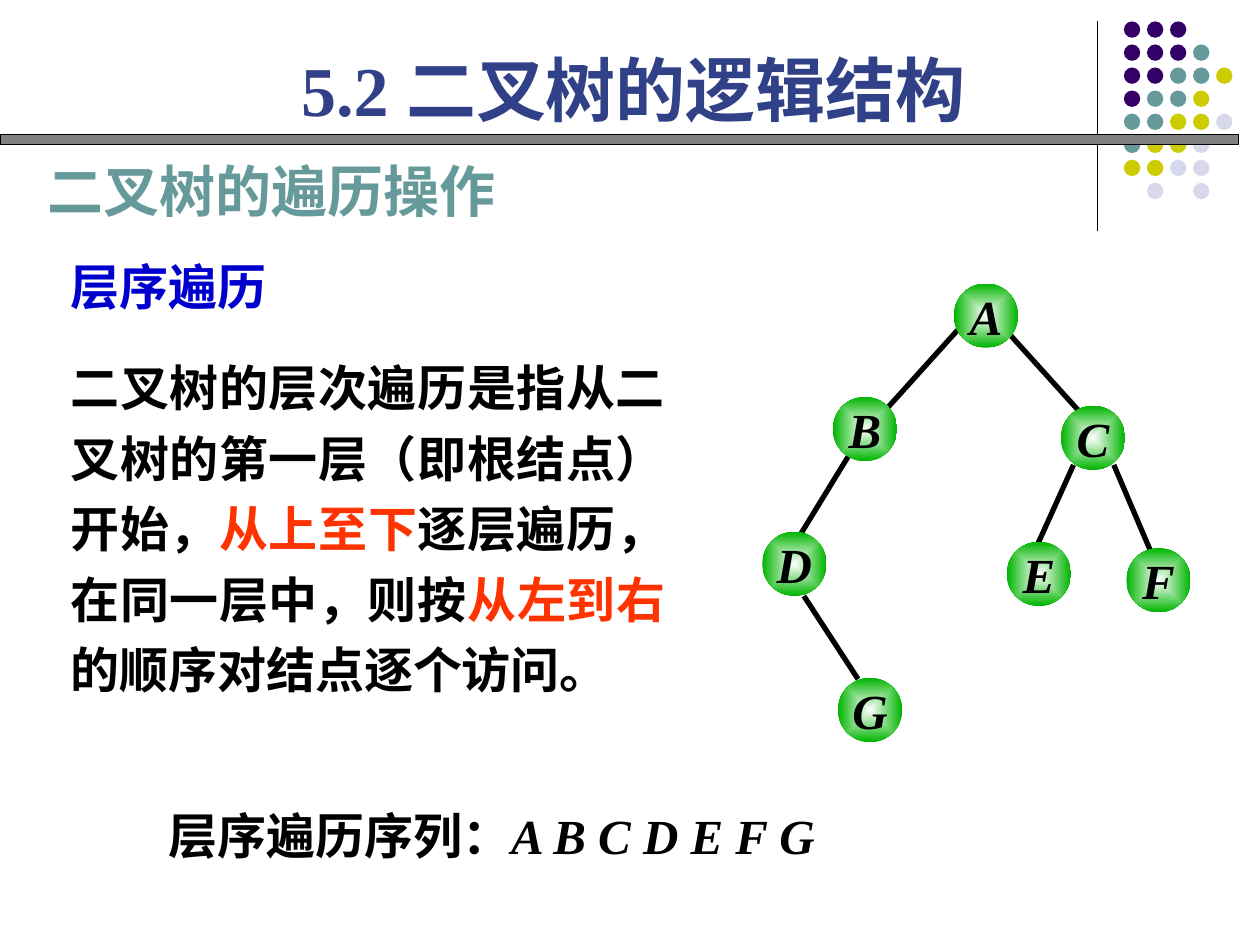
from lxml import etree
from pptx import Presentation
from pptx.dml.color import RGBColor
from pptx.enum.shapes import MSO_CONNECTOR, MSO_SHAPE
from pptx.enum.text import MSO_ANCHOR, PP_ALIGN
from pptx.oxml import parse_xml
from pptx.oxml.ns import nsdecls, qn
from pptx.util import Inches, Pt

LINE, OVAL, RECT = MSO_CONNECTOR.STRAIGHT, MSO_SHAPE.OVAL, MSO_SHAPE.RECTANGLE
TOP, MIDDLE = MSO_ANCHOR.TOP, MSO_ANCHOR.MIDDLE
LEFT, CENTER, JUSTIFY = PP_ALIGN.LEFT, PP_ALIGN.CENTER, PP_ALIGN.JUSTIFY
LATIN, ASIAN = "Times New Roman", "Noto Sans CJK SC"
COLORS = {"black": "000000", "title": "314187", "blue": "0000CC", "red": "FF3300",
          "P": "330066", "T": "669999", "Y": "CCCC00", "L": "D8D8EC",
          "bar": "808080", "white": "FFFFFF", "green": "00B400"}
DOT_ROWS = ["PPP", "PPPT", "PPTTY", "PTTY", "TTYYL", "TYYL", "YYLL", " L L"]
DOT_PITCH, DOT_SIZE = 0.183, 0.13
NODE_SIZE = 0.51
NODES = {"A": (7.57, 2.25), "B": (6.61, 3.15), "C": (8.42, 3.22), "D": (6.05, 4.22),
         "E": (7.99, 4.3), "F": (8.94, 4.35), "G": (6.65, 5.38)}
EDGES = [(7.6, 2.62, 7.05, 3.23), (8.01, 2.65, 8.57, 3.27), (6.74, 3.61, 6.36, 4.23),
         (6.38, 4.73, 6.81, 5.39), (8.52, 3.69, 8.24, 4.31), (8.84, 3.69, 9.13, 4.37)]
SHADOW = (f'<a:effectLst {nsdecls("a")}><a:outerShdw dist="17961" dir="2700000">'
          '<a:srgbClr val="808080"/></a:outerShdw></a:effectLst>')


def rgb(name):
    """Return the named colour."""
    return RGBColor.from_string(COLORS[name])


def add_run(p, text, size, color="black", italic=False, font=LATIN):
    """Append a bold run with Latin and East Asian fonts."""
    r = p.add_run()
    r.text = text
    r.font.color.rgb = rgb(color)
    values = {"size": Pt(size), "bold": True, "italic": italic, "name": font}
    for key, value in values.items():
        setattr(r.font, key, value)
    etree.SubElement(r.font._element, qn("a:ea"), typeface=ASIAN)
    return r


def fill_text(box, at, paragraphs, size, align=JUSTIFY, spacing=1.0, font=LATIN):
    """Place a text holder and write its paragraphs as lists of runs."""
    box.left, box.top, box.width, box.height = map(Inches, at)
    tf = box.text_frame
    tf.word_wrap, tf.vertical_anchor = True, TOP
    for i, runs in enumerate(paragraphs):
        p = tf.add_paragraph() if i else tf.paragraphs[0]
        pPr = p._p.get_or_add_pPr()
        pPr.set("marL", "0")
        pPr.set("indent", "0")
        etree.SubElement(pPr, qn("a:buNone"))
        p.alignment, p.line_spacing = align, spacing
        p.space_before = Pt(17.5 if i else 0)
        for run in runs:
            add_run(p, run[0], size, *run[1:], font=font)
    return tf


def add_text(s, at, *args, **kwargs):
    """Add a text box and fill it."""
    return fill_text(s.shapes.add_textbox(0, 0, 0, 0), at, *args, **kwargs)


def add_shape(s, kind, x, y, w, h, fill=None):
    """Add a flat preset shape without outline."""
    sp = s.shapes.add_shape(kind, *map(Inches, (x, y, w, h)))
    sp.shadow.inherit = False
    sp.line.fill.background()
    if fill:
        sp.fill.solid()
        sp.fill.fore_color.rgb = rgb(fill)
    return sp


def add_line(s, ends, width):
    """Add a straight black line."""
    c = s.shapes.add_connector(LINE, *map(Inches, ends))
    c.line.color.rgb, c.line.width = rgb("black"), Pt(width)
    etree.SubElement(c._element.spPr, qn("a:effectLst"))


def add_node(s, letter, x, y):
    """Add a tree node with a glow from white centre to green rim."""
    sp = add_shape(s, OVAL, x, y, NODE_SIZE, NODE_SIZE)
    stops = "".join(f'<a:gs pos="{pos}"><a:srgbClr val="{COLORS[name]}"/></a:gs>'
                    for pos, name in ((0, "white"), (100000, "green")))
    sp._element.spPr.find(qn("a:prstGeom")).addnext(parse_xml(
        f'<a:gradFill {nsdecls("a")}><a:gsLst>{stops}</a:gsLst><a:path path="rect">'
        '<a:fillToRect l="50000" t="50000" r="50000" b="50000"/></a:path></a:gradFill>'))
    tf = sp.text_frame
    tf.word_wrap, tf.vertical_anchor = False, MIDDLE
    for side in ("left", "top", "right", "bottom"):
        setattr(tf, f"margin_{side}", 0)
    p = tf.paragraphs[0]
    p.alignment = CENTER
    add_run(p, letter, 28, italic=True)


def add_decoration(s):
    """Draw the corner rule, the dot grid and the bar below the title."""
    add_line(s, (8.71, 0.17, 8.71, 1.83), 0.75)
    for row, dots in enumerate(DOT_ROWS):
        for col, dot in enumerate(dots):
            if dot != " ":
                add_shape(s, OVAL, 8.92 + col * DOT_PITCH, 0.17 + row * DOT_PITCH,
                          DOT_SIZE, DOT_SIZE, dot)
    bar = add_shape(s, RECT, 0, 1.07, 9.83, 0.08, "bar")
    bar.line.color.rgb, bar.line.width = rgb("black"), Pt(0.75)


def main():
    """Build the slide on level-order traversal."""
    prs = Presentation()
    prs.slide_width, prs.slide_height = Inches(10), Inches(7.5)
    s = prs.slides.add_slide(prs.slide_layouts[1])
    add_decoration(s)
    fill_text(s.shapes.title, (2.29, 0.32, 6.38, 0.77),
              [[("5.2 二叉树的逻辑结构", "title")]], 40)
    fill_text(s.placeholders[1], (0.46, 1.89, 4.92, 3.71), [
        [("层序遍历", "blue")],
        [("二叉树的层次遍历是指从二叉树的第一层（即根结点）开始，",), ("从上至下", "red"),
         ("逐层遍历，在同一层中，则按",), ("从左到右", "red"),
         ("的顺序对结点逐个访问。",)]], 28, spacing=1.2)
    tf = add_text(s, (0.28, 1.19, 5.92, 0.64), [[("二叉树的遍历操作", "T")]], 32,
                  align=LEFT, font=ASIAN)
    rPr = tf.paragraphs[0].runs[0].font._element
    rPr.find(qn("a:solidFill")).addnext(parse_xml(SHADOW))
    add_text(s, (1.24, 6.34, 5.6, 0.57),
             [[("层序遍历序列：",), ("A B C D E F G", "black", True)]], 28)
    for ends in EDGES:
        add_line(s, ends, 3)
    for letter, (x, y) in NODES.items():
        add_node(s, letter, x, y)
    prs.save("out.pptx")


if __name__ == "__main__":
    main()
